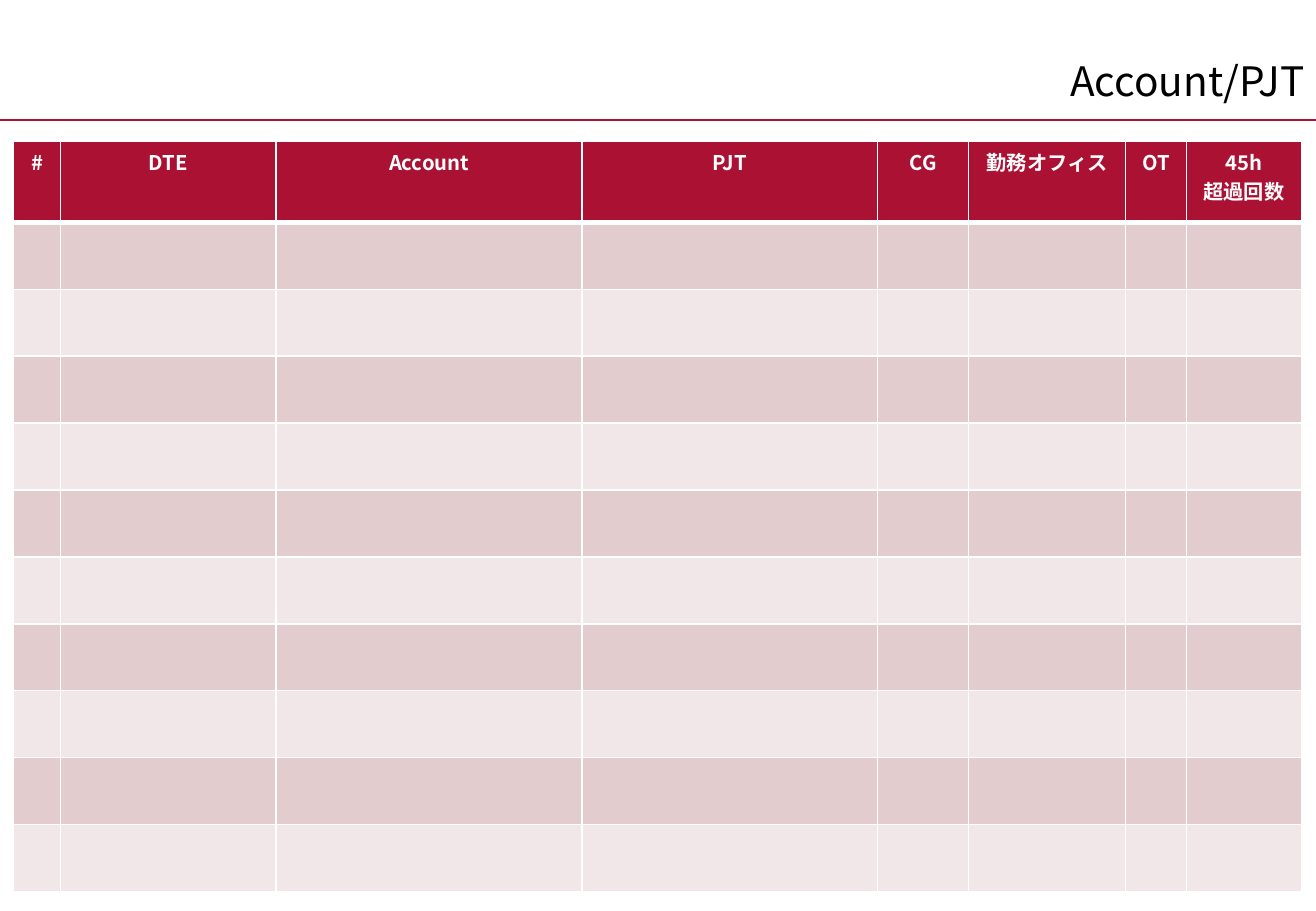
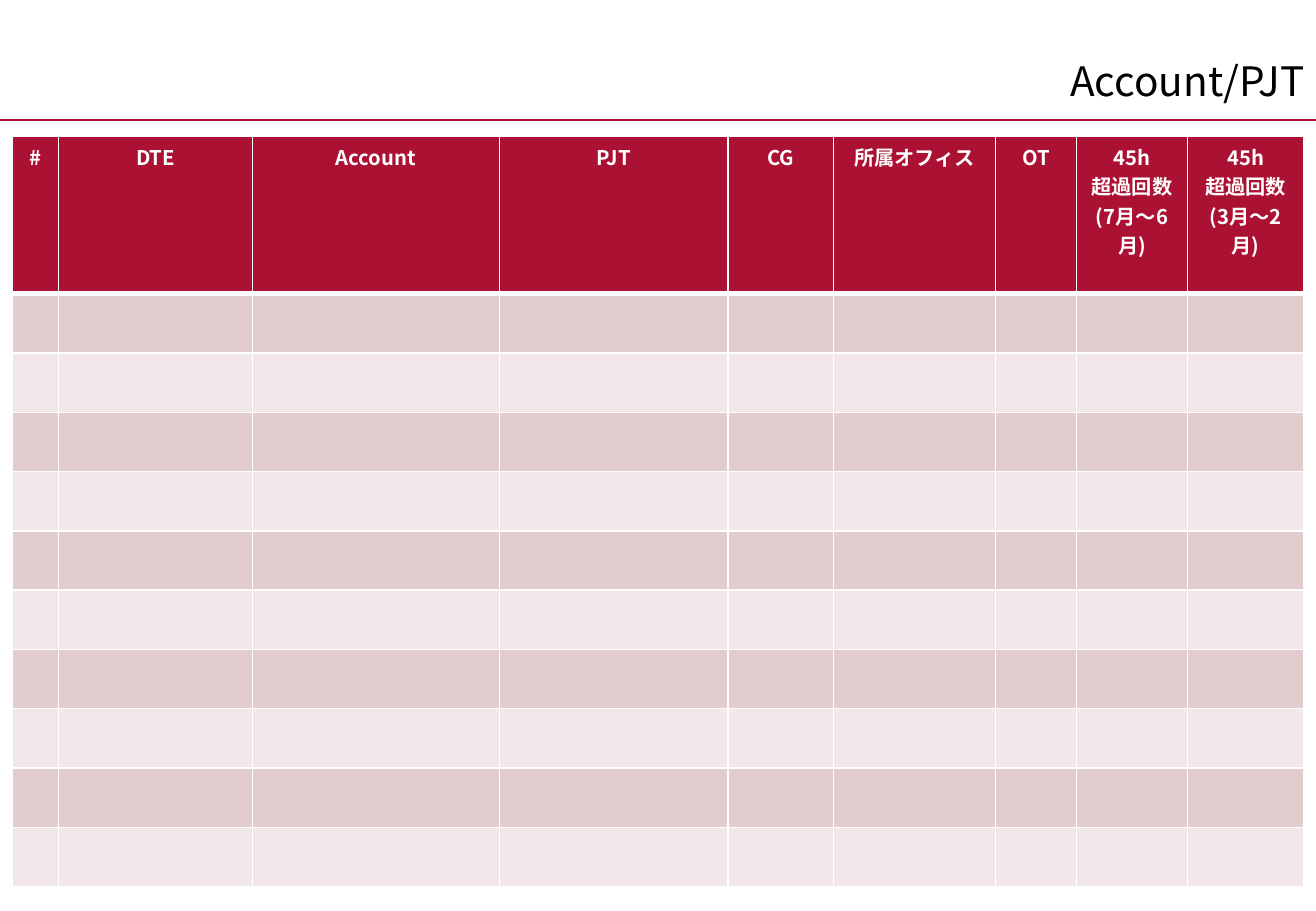
from dataclasses import dataclass

from lxml.etree import SubElement
from pptx import Presentation
from pptx.dml.color import RGBColor
from pptx.enum.shapes import MSO_CONNECTOR
from pptx.enum.text import MSO_ANCHOR, PP_ALIGN
from pptx.oxml.ns import qn
from pptx.slide import Slide
from pptx.table import _Cell
from pptx.text.text import TextFrame
from pptx.util import Cm, Pt

# Shared look
COLOURS = {
    "accent": "AA1133",
    "band_dark": "E2CCCE",
    "band_light": "F1E7E8",
    "white": "FFFFFF",
    "black": "000000",
}
FONT = "Noto Sans CJK JP"
PAGE_WIDTH, PAGE_HEIGHT = 27.51, 19.05
RULE_TOP = 2.51
BODY_ROWS = 10
THIN, THICK = 1, 3

TITLE_FORMAT = {"name": FONT, "size": Pt(24), "bold": False}
HEADER_FORMAT = {"name": FONT, "size": Pt(12), "bold": True}
TITLE_FRAME = {
    "word_wrap": True,
    "vertical_anchor": MSO_ANCHOR.BOTTOM,
    "margin_left": Cm(0.25),
    "margin_right": Cm(0.25),
    "margin_top": Cm(0.13),
    "margin_bottom": Cm(0.13),
}


@dataclass(frozen=True)
class Column:
    heading: str
    width: float


@dataclass(frozen=True)
class Sheet:
    title: str
    left: float
    top: float
    header_height: float
    row_height: float
    columns: list[Column]


SHEETS = [
    Sheet("Account/PJT", 0.28, 2.95, 1.7, 1.4, [
        Column("#", 0.99),
        Column("DTE", 4.5),
        Column("Account", 6.4),
        Column("PJT", 6.17),
        Column("CG", 1.91),
        Column("勤務オフィス", 3.28),
        Column("OT", 1.27),
        Column("45h\n超過回数", 2.41),
    ]),
    Sheet("Account/PJT", 0.25, 2.84, 3.3, 1.24, [
        Column("#", 0.97),
        Column("DTE", 4.06),
        Column("Account", 5.16),
        Column("PJT", 4.78),
        Column("CG", 2.21),
        Column("所属オフィス", 3.38),
        Column("OT", 1.7),
        Column("45h\n超過回数\n(7月～6月)", 2.31),
        Column("45h\n超過回数\n(3月～2月)", 2.44),
    ]),
]


def colour(name: str) -> RGBColor:
    return RGBColor.from_string(COLOURS[name])


def write(frame: TextFrame, text: str, values: dict, colour_name: str,
          alignment: PP_ALIGN) -> None:
    """Write one paragraph per line of text."""
    for index, line in enumerate(text.split("\n")):
        para = frame.add_paragraph() if index else frame.paragraphs[0]
        para.alignment = alignment
        span = para.add_run()
        span.text = line
        for name, value in values.items():
            setattr(span.font, name, value)
        span.font.color.rgb = colour(colour_name)
        east_asian = SubElement(span._r.get_or_add_rPr(), qn("a:ea"))
        east_asian.set("typeface", FONT)


def style_cell(cell: _Cell, fill_name: str, top: int, bottom: int) -> None:
    """Give a cell white borders and a plain fill."""
    properties = cell._tc.get_or_add_tcPr()
    widths = {"a:lnL": THIN, "a:lnR": THIN, "a:lnT": top, "a:lnB": bottom}
    for tag, width in widths.items():
        border = SubElement(properties, qn(tag), w=str(Pt(width)))
        paint = SubElement(border, qn("a:solidFill"))
        SubElement(paint, qn("a:srgbClr"), val=COLOURS["white"])
    cell.fill.solid()
    cell.fill.fore_color.rgb = colour(fill_name)


def add_heading(page: Slide, title: str) -> None:
    """Draw the rule across the page and the title above it."""
    rule = page.shapes.add_connector(
        MSO_CONNECTOR.STRAIGHT, Cm(0), Cm(RULE_TOP), Cm(PAGE_WIDTH), Cm(RULE_TOP))
    rule.line.color.rgb = colour("accent")
    rule.line.width = Pt(THIN)
    SubElement(rule._element.spPr, qn("a:effectLst"))

    box = page.shapes.add_textbox(Cm(7.74), Cm(0.71), Cm(19.78), Cm(1.6))
    for name, value in TITLE_FRAME.items():
        setattr(box.text_frame, name, value)
    write(box.text_frame, title, TITLE_FORMAT, "black", PP_ALIGN.RIGHT)


def add_grid(page: Slide, sheet: Sheet) -> None:
    """Draw the table: one header row, then banded empty rows."""
    heights = [sheet.header_height] + [sheet.row_height] * BODY_ROWS
    total_width = sum(column.width for column in sheet.columns)
    grid = page.shapes.add_table(
        len(heights), len(sheet.columns), Cm(sheet.left), Cm(sheet.top),
        Cm(total_width), Cm(sum(heights))).table

    for row, height in zip(grid.rows, heights):
        row.height = Cm(height)
    for index, column in enumerate(sheet.columns):
        grid.columns[index].width = Cm(column.width)
        header = grid.cell(0, index)
        style_cell(header, "accent", THIN, THICK)
        write(header.text_frame, column.heading, HEADER_FORMAT, "white",
              PP_ALIGN.CENTER)
        for row_number in range(1, BODY_ROWS + 1):
            band = "band_dark" if row_number % 2 else "band_light"
            top = THICK if row_number == 1 else THIN
            style_cell(grid.cell(row_number, index), band, top, THIN)


def main() -> None:
    deck = Presentation()
    deck.slide_width, deck.slide_height = Cm(PAGE_WIDTH), Cm(PAGE_HEIGHT)
    blank = deck.slide_layouts[6]
    for sheet in SHEETS:
        page = deck.slides.add_slide(blank)
        add_heading(page, sheet.title)
        add_grid(page, sheet)
    deck.save("out.pptx")


if __name__ == "__main__":
    main()
